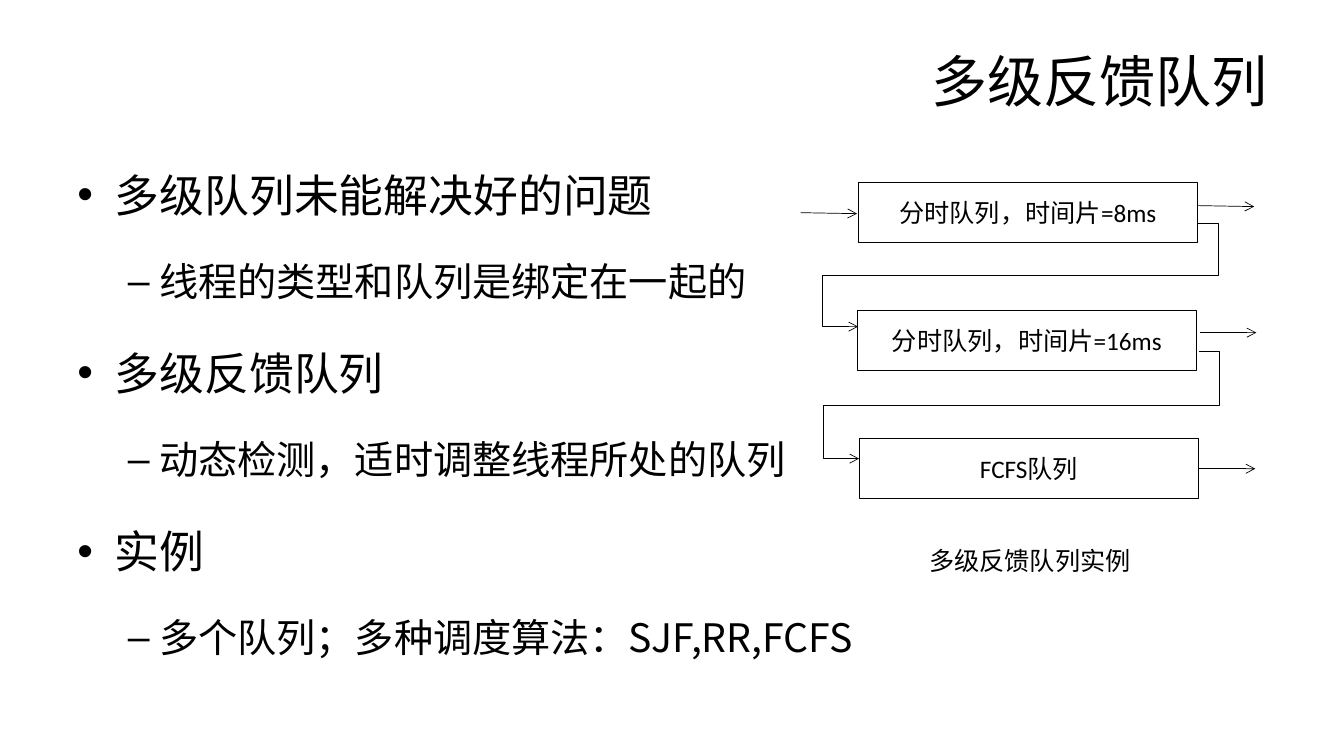
from dataclasses import dataclass

from lxml import etree
from pptx import Presentation
from pptx.dml.color import RGBColor
from pptx.enum.shapes import MSO_CONNECTOR, MSO_SHAPE
from pptx.enum.text import MSO_ANCHOR, PP_ALIGN
from pptx.oxml.ns import qn
from pptx.util import Inches, Pt

STRAIGHT = MSO_CONNECTOR.STRAIGHT
RECTANGLE = MSO_SHAPE.RECTANGLE
MIDDLE, TOP = MSO_ANCHOR.MIDDLE, MSO_ANCHOR.TOP
LEFT, CENTER, RIGHT = PP_ALIGN.LEFT, PP_ALIGN.CENTER, PP_ALIGN.RIGHT


@dataclass(frozen=True)
class Theme:
    ink: RGBColor = RGBColor(0, 0, 0)
    paper: RGBColor = RGBColor(255, 255, 255)
    title_font: str = "Arial"
    body_font: str = "Noto Sans CJK SC"
    label_font: str = "Calibri"
    asian_font: str = "Noto Sans CJK SC"
    title_size: int = 40
    level_sizes: tuple = (32, 28)
    label_size: int = 18
    line_width: float = 0.5
    line_spacing: float = 1.6


# Per outline level: bullet mark, text indent and hanging indent in inches
LEVELS = (("•", 0.37, 0.37), ("–", 0.81, 0.31))

OUTLINE = (
    (0, "多级队列未能解决好的问题"),
    (1, "线程的类型和队列是绑定在一起的"),
    (0, "多级反馈队列"),
    (1, "动态检测，适时调整线程所处的队列"),
    (0, "实例"),
    (1, "多个队列；多种调度算法：SJF,RR,FCFS"),
)

QUEUE_WIDTH, QUEUE_HEIGHT = 3.37, 0.59
QUEUES = (
    (8.51, 1.81, "分时队列，时间片=8ms"),
    (8.5, 3.08, "分时队列，时间片=16ms"),
    (8.52, 4.35, "FCFS队列"),
)

ARROWS = (
    ((7.94, 2.11), (8.5, 2.12)),
    ((11.88, 2.04), (12.44, 2.05)),
    ((11.9, 3.3), (12.46, 3.3)),
    ((11.89, 4.65), (12.45, 4.65)),
)

# Feedback paths: right start, top, left end, bottom
FEEDBACKS = ((11.88, 2.22, 8.51, 3.24), (11.89, 3.49, 8.52, 4.55))
FEEDBACK_REACH_RIGHT, FEEDBACK_REACH_LEFT = 0.2, 0.35


class SlideBuilder:
    def __init__(self, page, theme):
        self.page = page
        self.theme = theme
        page.background.fill.solid()
        page.background.fill.fore_color.rgb = theme.paper

    def add_span(self, para, text, font_name, size):
        span = para.add_run()
        span.text = text
        span.font.name = font_name
        span.font.size = Pt(size)
        span.font.color.rgb = self.theme.ink
        asian = etree.Element(qn("a:ea"), typeface=self.theme.asian_font)
        span.font._element.find(qn("a:latin")).addnext(asian)

    def frame(self, shape, anchor, inset=None):
        frame = shape.text_frame
        frame.word_wrap = True
        frame.vertical_anchor = anchor
        if inset is not None:
            frame.margin_left = frame.margin_right = Inches(inset)
            frame.margin_top = frame.margin_bottom = Inches(inset)
        return frame

    def text_box(self, left, top, width, height):
        return self.page.shapes.add_textbox(
            Inches(left), Inches(top), Inches(width), Inches(height))

    def title(self, text):
        frame = self.frame(self.text_box(0.67, 0.3, 12, 0.99), MIDDLE)
        para = frame.paragraphs[0]
        para.alignment = RIGHT
        self.add_span(para, text, self.theme.title_font, self.theme.title_size)

    def outline(self, items):
        frame = self.frame(self.text_box(0.67, 1.29, 12, 5.41), TOP)
        for index, (level, text) in enumerate(items):
            para = frame.add_paragraph() if index else frame.paragraphs[0]
            size = self.theme.level_sizes[level]
            para.level = level
            para.alignment = LEFT
            para.line_spacing = self.theme.line_spacing
            para.space_before = Pt(size * 0.2 if index else 0)
            self.add_bullet(para, *LEVELS[level])
            self.add_span(para, text, self.theme.body_font, size)

    def add_bullet(self, para, mark, indent, hanging):
        properties = para._p.get_or_add_pPr()
        properties.set("marL", str(Inches(indent)))
        properties.set("indent", str(-Inches(hanging)))
        etree.SubElement(properties, qn("a:buFont"), typeface="Arial")
        etree.SubElement(properties, qn("a:buChar"), char=mark)

    def label(self, shape, text):
        para = self.frame(shape, MIDDLE, inset=0).paragraphs[0]
        para.alignment = CENTER
        self.add_span(para, text, self.theme.label_font, self.theme.label_size)

    def caption(self, left, top, text):
        self.label(self.text_box(left, top, QUEUE_WIDTH, QUEUE_HEIGHT), text)

    def queue(self, left, top, text):
        box = self.page.shapes.add_shape(
            RECTANGLE, Inches(left), Inches(top),
            Inches(QUEUE_WIDTH), Inches(QUEUE_HEIGHT))
        box.shadow.inherit = False
        box.fill.background()
        self.stroke(box.line)
        self.label(box, text)

    def stroke(self, line, arrow=False):
        line.color.rgb = self.theme.ink
        line.width = Pt(self.theme.line_width)
        if arrow:
            etree.SubElement(line._get_or_add_ln(), qn("a:tailEnd"), type="arrow")

    def arrow(self, start, end):
        connector = self.page.shapes.add_connector(
            STRAIGHT, *(Inches(value) for value in start + end))
        self.stroke(connector.line, arrow=True)
        etree.SubElement(connector._element.spPr, qn("a:effectLst"))

    def feedback(self, start, top, end, bottom):
        """Route from the right of one queue to the left of the next."""
        right, left = start + FEEDBACK_REACH_RIGHT, end - FEEDBACK_REACH_LEFT
        middle = (top + bottom) / 2
        corners = ((right, top), (right, middle), (left, middle),
                   (left, bottom), (end, bottom))
        builder = self.page.shapes.build_freeform(Inches(start), Inches(top))
        builder.add_line_segments(
            [(Inches(x), Inches(y)) for x, y in corners], close=False)
        route = builder.convert_to_shape()
        route.shadow.inherit = False
        route.fill.background()
        self.stroke(route.line, arrow=True)


def main():
    deck = Presentation()
    deck.slide_width, deck.slide_height = Inches(13.33), Inches(7.5)
    page = deck.slides.add_slide(deck.slide_layouts[6])
    slide = SlideBuilder(page, Theme())
    slide.title("多级反馈队列")
    slide.outline(OUTLINE)
    for queue in QUEUES:
        slide.queue(*queue)
    for feedback in FEEDBACKS:
        slide.feedback(*feedback)
    for start, end in ARROWS:
        slide.arrow(start, end)
    slide.caption(8.53, 5.26, "多级反馈队列实例")
    deck.save("out.pptx")


if __name__ == "__main__":
    main()
